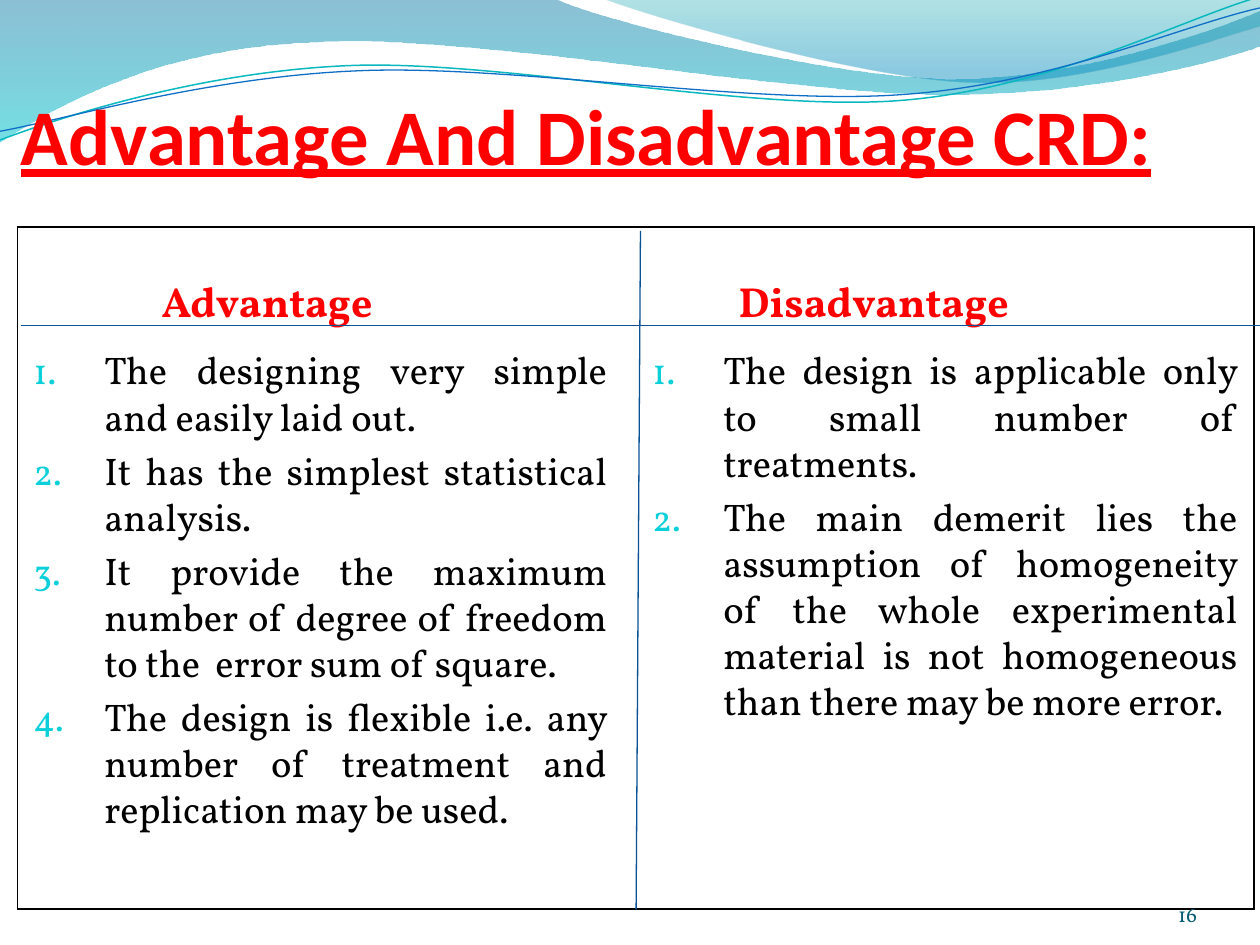
from lxml import etree
from pptx import Presentation
from pptx.dml.color import RGBColor
from pptx.enum.shapes import MSO_CONNECTOR
from pptx.enum.text import MSO_ANCHOR, MSO_AUTO_SIZE, PP_ALIGN
from pptx.oxml.ns import qn
from pptx.util import Pt

BODY_FONT = "Vollkorn"
RED, BLACK, RULE = "FF0000", "000000", "095295"

UPPER_WAVE = [
    [(0, 0)], [(317, -0.7)],
    [(343, 12), (478, 45), (546, 45)], [(614, 45), (690, 19), (720, 6)],
    [(720.7, 26)],
    [(708, 32), (626, 55), (537, 54)], [(448, 54), (275, 20), (185, 24)],
    [(93, 26), (33, 60), (-0.7, 81.4)], [(0, 0)],
]
RIGHT_WAVE = [
    [(345, -0.7)],
    [(366, 8), (491, 45), (554, 47)], [(616, 50), (692, 23), (720, 15)],
    [(720, 0)], [(345, -0.7)],
]
TEAL_CURVE = [
    [(0, 80)],
    [(34.5, 67), (114, 41), (199.5, 37.5)],
    [(284.5, 34), (427, 64), (513.5, 57.5)],
    [(600, 51), (675.5, 11), (718.5, -1.5)],
]
BLUE_CURVE = [
    [(0, 75)],
    [(34, 69), (118, 44), (204, 40.5)],
    [(290, 36.5), (430, 60.5), (516, 54)],
    [(602, 48), (673.5, 15), (720, 4.5)],
]
ADVANTAGES = [
    "The designing very simple and easily laid out.",
    "It has the simplest statistical analysis.",
    "It provide the maximum number of degree of freedom to the  error sum of square.",
    "The design is flexible i.e. any number of treatment and replication may be used.",
]
DISADVANTAGES = [
    "The design is applicable only to small number of treatments.",
    "The main demerit lies the assumption of homogeneity of the whole experimental "
    "material is not homogeneous than there may be more error.",
]


def rgb(value):
    """Turn a hex string into a colour."""
    return RGBColor.from_string(value)


def add_child(parent, tag, **attributes):
    """Append a DrawingML element and return it."""
    child = etree.SubElement(parent, qn(tag))
    for name, value in attributes.items():
        child.set(name, str(value))
    return child


def style_font(paragraph, name, size, color, bold=False):
    """Set the font of a whole paragraph."""
    font = paragraph.font
    font.name, font.size, font.bold = name, Pt(size), bold
    font.color.rgb = rgb(color)


def set_frame(frame, margins, anchor):
    """Set margins, anchor and wrapping of a text frame."""
    frame.word_wrap = True
    frame.auto_size = MSO_AUTO_SIZE.NONE
    frame.vertical_anchor = anchor
    (frame.margin_left, frame.margin_top,
     frame.margin_right, frame.margin_bottom) = map(Pt, margins)


def add_text(slide, box, margins, anchor=MSO_ANCHOR.TOP):
    """Add an empty text box and return its frame."""
    frame = slide.shapes.add_textbox(*map(Pt, box)).text_frame
    set_frame(frame, margins, anchor)
    return frame


def add_outline(slide, segments, close):
    """Build a freeform whose three-point segments are cubic curves."""
    points = [(Pt(x), Pt(y)) for segment in segments for x, y in segment]
    builder = slide.shapes.build_freeform(*points[0])
    builder.add_line_segments(points[1:], close=close)
    shape = builder.convert_to_shape()
    shape.shadow.inherit = False
    moves = iter(list(shape._element.spPr.iter(qn("a:lnTo"))))
    for segment in segments[1:]:
        first, *others = [next(moves) for _ in segment]
        if others:
            first.tag = qn("a:cubicBezTo")
        for other in others:
            first.append(other[0])
            other.getparent().remove(other)
    return shape


def add_wave(slide, segments, stops):
    """Add a filled wave with a translucent downward gradient."""
    wave = add_outline(slide, segments, True)
    wave.line.fill.background()
    wave.fill.gradient()
    wave.fill.gradient_angle = 270
    for stop, (position, color, _) in zip(wave.fill.gradient_stops, stops):
        stop.position = position
        stop.color.rgb = rgb(color)
    colors = wave._element.spPr.iter(qn("a:srgbClr"))
    for element, (_, _, opacity) in zip(colors, stops):
        add_child(element, "a:alpha", val=opacity * 1000)


def add_curve(slide, segments, color, width):
    """Add an open curved line."""
    curve = add_outline(slide, segments, False)
    curve.fill.background()
    curve.line.color.rgb = rgb(color)
    curve.line.width = Pt(width)


def add_banner(slide):
    """Draw the waves and curves along the top."""
    add_wave(slide, UPPER_WAVE, [(0, "0074A1", 45), (1, "00C6CF", 55)])
    add_wave(slide, RIGHT_WAVE, [(0, "00A1A9", 30), (0.8, "008BBF", 45)])
    add_curve(slide, TEAL_CURVE, "0AB8BF", 0.85)
    add_curve(slide, BLUE_CURVE, "0F6FC6", 0.75)


def add_title(slide, box, text):
    """Place and format the title placeholder above the banner."""
    title = slide.shapes.title
    title.left, title.top, title.width, title.height = map(Pt, box)
    set_frame(title.text_frame, (0, 3.6, 0, 0), MSO_ANCHOR.BOTTOM)
    title.text_frame.text = text
    paragraph = title.text_frame.paragraphs[0]
    paragraph.alignment = PP_ALIGN.LEFT
    style_font(paragraph, "Calibri", 45, RED, True)
    paragraph.font.underline = True
    slide.shapes._spTree.append(title._element)


def add_column(slide, box, heading_left, heading, items):
    """Add a heading and its numbered list below."""
    left, top, width, height = box
    heading_height = 52
    frame = add_text(slide, (heading_left, top, 318, heading_height),
                     (3.6, 0, 3.6, 0), MSO_ANCHOR.MIDDLE)
    frame.text = heading
    frame.paragraphs[0]._p.get_or_add_pPr().set("marL", str(Pt(52.75)))
    style_font(frame.paragraphs[0], BODY_FONT, 24, RED, True)

    frame = add_text(slide, (left, top + heading_height, width, height - heading_height),
                     (7.2, 0, 7.2, 3.6))
    frame.text = "\n".join(items)
    for index, paragraph in enumerate(frame.paragraphs):
        paragraph.alignment = PP_ALIGN.JUSTIFY
        if index:
            paragraph.space_before = Pt(4.4)
        properties = paragraph._p.get_or_add_pPr()
        properties.set("marL", str(Pt(40.5)))
        properties.set("indent", str(-Pt(40.5)))
        add_child(add_child(properties, "a:buClr"), "a:srgbClr", val="0BD0D9")
        add_child(properties, "a:buSzPct", val=95000)
        add_child(properties, "a:buFont", typeface="+mj-lt")
        add_child(properties, "a:buAutoNum", type="arabicPeriod")
        style_font(paragraph, BODY_FONT, 22, BLACK)


def add_frame(slide, box):
    """Add the one-cell bordered table around both columns."""
    table = slide.shapes.add_table(1, 1, *map(Pt, box)).table
    table.first_row = table.horz_banding = False
    cell = table.cell(0, 0)
    properties = cell._tc.get_or_add_tcPr()
    for side in "LRTB":
        border = add_child(properties, f"a:ln{side}", w=Pt(1))
        add_child(add_child(border, "a:solidFill"), "a:srgbClr", val=BLACK)
    cell.fill.background()


def add_rule(slide, start, end):
    """Add a thin dividing line."""
    rule = slide.shapes.add_connector(MSO_CONNECTOR.STRAIGHT, *map(Pt, start + end))
    rule.line.color.rgb = rgb(RULE)
    rule.line.width = Pt(0.75)
    add_child(rule._element.spPr, "a:effectLst")


def add_page_number(slide, box, number):
    """Add the page number at the lower right."""
    frame = add_text(slide, box, (0, 0, 0, 0), MSO_ANCHOR.BOTTOM)
    frame.text = number
    frame.paragraphs[0].alignment = PP_ALIGN.RIGHT
    style_font(frame.paragraphs[0], BODY_FONT, 12, "045D75")


def main():
    """Build and save the slide."""
    deck = Presentation()
    deck.slide_width, deck.slide_height = Pt(720), Pt(540)
    slide = deck.slides.add_slide(deck.slide_layouts[5])
    add_banner(slide)
    add_title(slide, (12, 12, 696, 91.5), "Advantage And Disadvantage CRD:")
    add_column(slide, (12, 146, 342, 355), 36, "Advantage", ADVANTAGES)
    add_column(slide, (365.75, 146, 348.5, 355), 365.75, "Disadvantage", DISADVANTAGES)
    add_frame(slide, (9.9, 129.6, 706.8, 389.9))
    add_rule(slide, (12, 186), (720, 186))
    add_rule(slide, (366, 132), (363.5, 519.8))
    add_page_number(slide, (624, 500.5, 60, 28.8), "16")
    deck.save("out.pptx")


if __name__ == "__main__":
    main()
